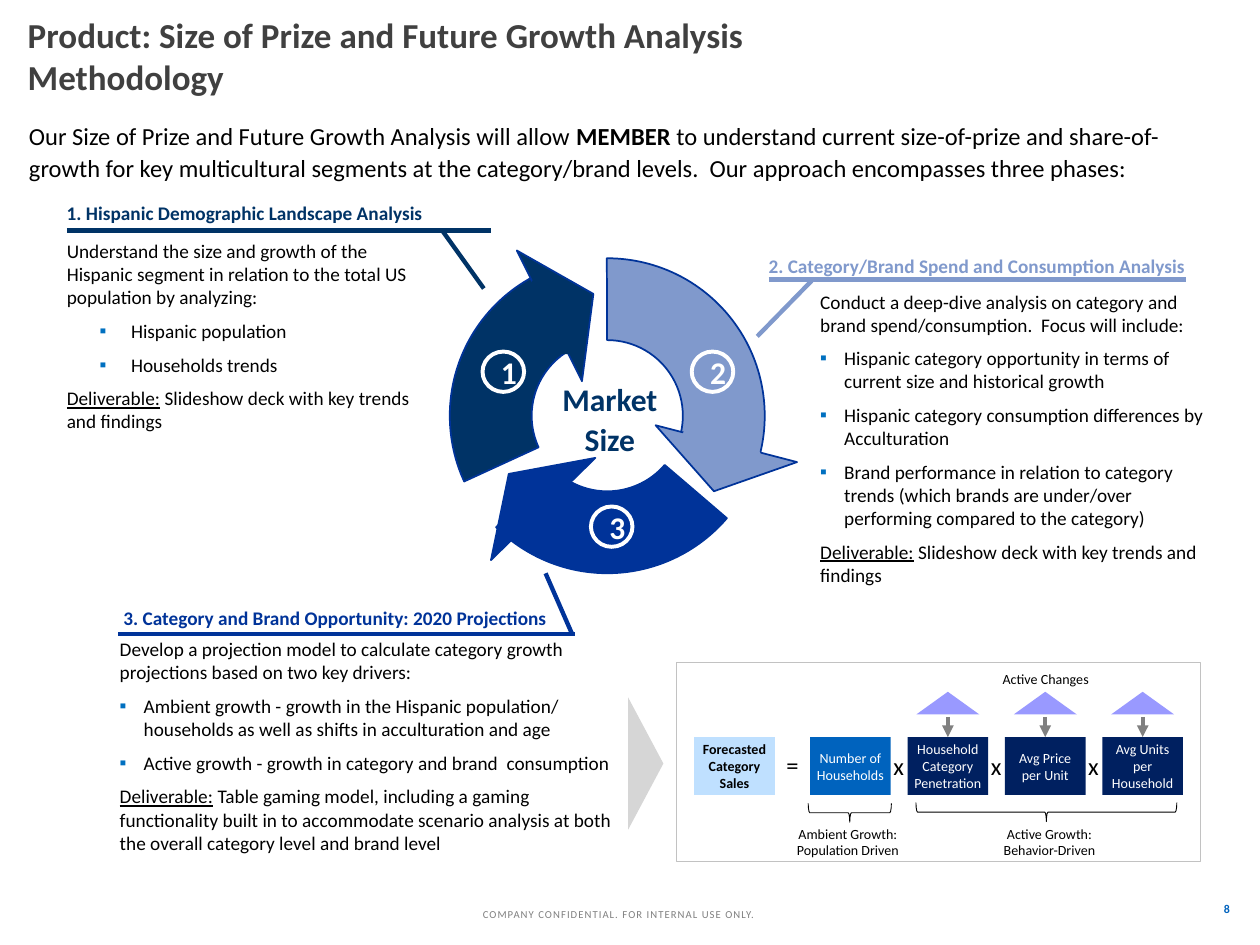
from lxml import etree
from pptx import Presentation
from pptx import util as u
from pptx.dml.color import RGBColor
from pptx.enum import shapes, text
from pptx.oxml import ns

theme = dict(
    font="Calibri", navy="003366", blue="003399", sky="8099CC", ink="000000", white="FFFFFF",
    gray="808080", title="404040", mark="0070C0", page="0063BE", pale="BFE0FF", deep="002060",
    lilac="9999FF", wedge="D6D6D6", edge="C2C2C2",
    big=20, ring=18, lead=14, body=11, small=8, num=6.8, foot=6.1)
T = theme
S = shapes.MSO_SHAPE
A = text.PP_ALIGN
M = text.MSO_ANCHOR

deck = Presentation()
deck.slide_width, deck.slide_height = u.Inches(10), u.Inches(7.5)
col, row = deck.slide_width / 100, deck.slide_height / 75
slide = deck.slides.add_slide(deck.slide_layouts[4])


def write(frame, paras, size, color, bold=False, align=A.LEFT, anchor=M.TOP,
          inset=None, lead=1.0, gap=0, hang=(1.9, -1.9), track=0):
    frame.word_wrap = True
    frame.auto_size = text.MSO_AUTO_SIZE.NONE
    frame.vertical_anchor = anchor
    if inset is not None:
        (frame.margin_left, frame.margin_top,
         frame.margin_right, frame.margin_bottom) = [int(v * col) for v in inset]
    for i, runs in enumerate(paras):
        p = frame.add_paragraph() if i else frame.paragraphs[0]
        runs = [(runs, "")] if isinstance(runs, str) else runs
        props = p._p.get_or_add_pPr()
        left, first = (0, 0)
        if runs[0][0].startswith("▪"):
            left, first = hang
            tint = etree.SubElement(props, ns.qn("a:buClr"))
            etree.SubElement(tint, ns.qn("a:srgbClr"), val=T["mark"])
            etree.SubElement(props, ns.qn("a:buFont"), typeface=T["font"])
            etree.SubElement(props, ns.qn("a:buChar"), char="▪")
        else:
            etree.SubElement(props, ns.qn("a:buNone"))
        props.set("marL", str(int(left * col)))
        props.set("indent", str(int(first * col)))
        p.alignment, p.line_spacing = align, lead
        p.space_before = u.Pt(gap if i else 0)
        for words, style in runs:
            for n, line in enumerate(words.lstrip("▪").split("\n")):
                if n:
                    p.add_line_break()
                run = p.add_run()
                run.text = line
                font = run.font
                font.name, font.size = T["font"], u.Pt(size)
                font.bold = bold or style == "b"
                font.underline = style == "u"
                font.color.rgb = RGBColor.from_string(T[color])
                if track:
                    run._r.get_or_add_rPr().set("spc", str(track))


def draw(kind, x, y, w, h, fill=None, line=None, width=1, turn=0, adj=()):
    spot = [int(v) for v in (x * col, y * row, w * col, h * row)]
    if kind is None:
        return slide.shapes.add_textbox(*spot)
    item = slide.shapes.add_shape(kind, *spot)
    item.shadow.inherit = False
    item.rotation = turn
    for i, v in enumerate(adj):
        item.adjustments[i] = v
    if fill:
        item.fill.solid()
        item.fill.fore_color.rgb = RGBColor.from_string(T[fill])
    else:
        item.fill.background()
    if line:
        item.line.color.rgb = RGBColor.from_string(T[line])
        item.line.width = u.Pt(width)
    else:
        item.line.fill.background()
    return item


flat = (0, 0, 0, 0)
intro = [[("Our Size of Prize and Future Growth Analysis will allow ", ""), ("MEMBER", "b"),
          (" to understand current size-of-prize and share-of-growth for key multicultural segments"
           " at the category/brand levels.  Our approach encompasses three phases:", "")]]
goal = [("Deliverable:", "u"), (" Slideshow deck with key trends and findings", "")]
first = ["Understand the size and growth of the Hispanic segment in relation to the total US"
         " population by analyzing:", "▪Hispanic population", "▪Households trends", goal]
second = ["Conduct a deep-dive analysis on category and brand spend/consumption.  Focus will include:",
          "▪Hispanic category opportunity in terms of current size and historical growth",
          "▪Hispanic category consumption differences by Acculturation",
          "▪Brand performance in relation to category trends (which brands are under/over"
          " performing compared to the category)", goal]
third = ["Develop a projection model to calculate category growth projections based on two key drivers:",
         "▪Ambient growth - growth in the Hispanic population/ households as well as shifts in"
         " acculturation and age",
         "▪Active growth - growth in category and brand  consumption",
         [("Deliverable:", "u"),
          (" Table gaming model, including a gaming functionality built in to accommodate scenario"
           " analysis at both the overall category level and brand level", "")]]
head = dict(size=T["big"], color="title", bold=True, anchor=M.MIDDLE)
body = dict(size=T["body"], color="ink", inset=flat, gap=6)
holders = [
    ((1.2, 0.5, 73.3, 7.8), ["Product: Size of Prize and Future Growth Analysis\nMethodology"], head),
    ((2.3, 9.5, 93.2, 6), intro, dict(size=T["lead"], color="ink", inset=flat, lead=1.06)),
    ((5.3, 19, 29.2, 22.6), first, dict(body, hang=(5.1, -2.5))),
    ((65.1, 23, 30.5, 22.6), second, body),
    ((9.5, 50.6, 40.7, 13.1), third, body)]
for item, ((x, y, w, h), paras, form) in zip(slide.placeholders, holders):
    item.left, item.top, item.width, item.height = int(x * col), int(y * row), int(w * col), int(h * row)
    write(item.text_frame, paras, **form)

for start, end, thick, fill in [(269.85, 13.7, 0.26, "sky"), (40.58, 134.89, 0.26, "blue"),
                                (155.32, 240.84, 0.26, "navy")]:
    draw(S.BLOCK_ARC, 35.7, 20.5, 25, 25, fill, "blue", adj=(start * 0.6, end * 0.6, thick))

heads = [
    (43.4, 18.4, 333.5, "navy", [(41.7, 23), (43.1, 21.2), (45.2, 28.1), (43.3, 28.1)]),
    (55.2, 31.3, 104.6, "sky", [(59.9, 34.8), (60.7, 36.9), (53.8, 35.1), (54.7, 33.5)]),
    (39.8, 33.2, 225.6, "blue", [(42.4, 43.1), (40.2, 42.7), (44.8, 37.7), (45.8, 39.3)])]
for x, y, turn, fill, pts in heads:
    draw(S.RIGHT_ARROW, x, y, 3.9, 11.6, fill, "blue", turn=turn, adj=(0.5, 1))
    pts = [(int(a * col), int(b * row)) for a, b in pts]
    pen = slide.shapes.build_freeform(*pts[0])
    pen.add_line_segments(pts[1:], close=True)
    patch = pen.convert_to_shape()
    patch.shadow.inherit = False
    patch.fill.solid()
    patch.fill.fore_color.rgb = RGBColor.from_string(T[fill])
    patch.line.fill.background()

for x, y, w, words, color in [
        (5.3, 15.9, 35, "1. Hispanic Demographic Landscape Analysis", "navy"),
        (61, 20.1, 35, "2. Category/Brand Spend and Consumption Analysis", "sky"),
        (9.8, 48, 35.7, "3. Category and Brand Opportunity: 2020 Projections", "blue")]:
    write(draw(None, x, y, w, 2).text_frame, [words], T["body"], color, bold=True,
          inset=(0, 0, 1, 0), lead=1.06)
write(draw(None, 39.5, 29.5, 17.8, 7.4).text_frame, ["Market\nSize"], T["ring"], "navy",
      bold=True, align=A.CENTER, lead=1.06)
for n, (x, y) in enumerate([(38.3, 27.9), (54.9, 27.9), (46.9, 40.2)], 1):
    ring = draw(S.OVAL, x, y, 3.3, 3.2, line="white", width=2.25)
    write(ring.text_frame, [str(n)], T["ring"], "white", bold=True, align=A.CENTER, anchor=M.MIDDLE)

draw(S.RECTANGLE, 53.7, 52.6, 41.6, 15.8, line="edge", width=0.75)
draw(S.ISOSCELES_TRIANGLE, 46, 59.2, 10.5, 2.8, "wedge", turn=90)
links = [(x1, y1, x2, y2, color, 2.5, None) for x1, y1, x2, y2, color in [
    (64.5, 22.2, 60.1, 26.7, "sky"), (61, 22.2, 94.1, 22.2, "sky"),
    (43.3, 45.5, 45.4, 50.3, "blue"), (9.4, 50.3, 45.6, 50.3, "blue"),
    (35.1, 18.3, 38.4, 22.9, "navy"), (5.3, 18.3, 39, 18.3, "navy")]]

label = dict(size=T["small"], align=A.CENTER)
sign = dict(size=T["lead"], color="ink", align=A.CENTER, inset=flat)
left, step, wide, top = 64.3, 7.73, 6.4, 58.5
cells = [(55.1, "Forecasted Category Sales", "pale")] + [
    (left + step * i, words, "deep" if i else "page") for i, words in enumerate([
        "Number of Households", "Household Category Penetration",
        "Avg Price\nper Unit", "Avg Units\nper\nHousehold"])]
for i, (x, words, fill) in enumerate(cells):
    cell = draw(S.RECTANGLE, x, top, wide, 4.6, fill)
    write(cell.text_frame, [words], color="white" if i else "ink", bold=not i,
          anchor=M.MIDDLE, inset=flat, **label)
    if i > 1:
        mid = x + wide / 2
        draw(S.ISOSCELES_TRIANGLE, mid - 2.5, 54.9, 5, 1.8, "lilac")
        links.append((mid, 56.9, mid, top, "gray", 2.25, cell))
        write(draw(None, x - 1.7, 59.6, 2, 2.4).text_frame, ["x"], **sign)
write(draw(None, 61.9, 59.5, 2, 2.4).text_frame, ["="], **sign)

for x1, y1, x2, y2, color, width, goal in links:
    link = slide.shapes.add_connector(shapes.MSO_CONNECTOR.STRAIGHT, int(x1 * col), int(y1 * row),
                                      int(x2 * col), int(y2 * row))
    link.line.color.rgb = RGBColor.from_string(T[color])
    link.line.width = u.Pt(width)
    if goal is not None:
        link.end_connect(goal, 0)
        etree.SubElement(link.line._get_or_add_ln(), ns.qn("a:tailEnd"), type="triangle")
    etree.SubElement(link._element.spPr, ns.qn("a:effectLst"))

for x, y, h in [(82.3, 54.1, 20.7), (66.7, 61.2, 6.6)]:
    draw(S.LEFT_BRACE, x, y, 1.5, h, line="ink", width=0.5, turn=270)
for x, y, w, h, words in [(61.3, 65, 12, 3.7, "Ambient Growth:\nPopulation Driven"),
                          (76.3, 65, 14, 3.7, "Active Growth:\nBehavior-Driven"),
                          (77, 52.7, 12, 2.4, "Active Changes")]:
    write(draw(None, x, y, w, h).text_frame, [words], color="ink", **label)

write(draw(None, 89.2, 70.1, 9.4, 4).text_frame, ["8"], T["num"], "page", bold=True,
      align=A.RIGHT, anchor=M.MIDDLE)
write(draw(None, 24.5, 70.6, 49.2, 4).text_frame, ["COMPANY CONFIDENTIAL. FOR INTERNAL USE ONLY."],
      T["foot"], "gray", align=A.CENTER, anchor=M.MIDDLE, track=60)

deck.save("out.pptx")
